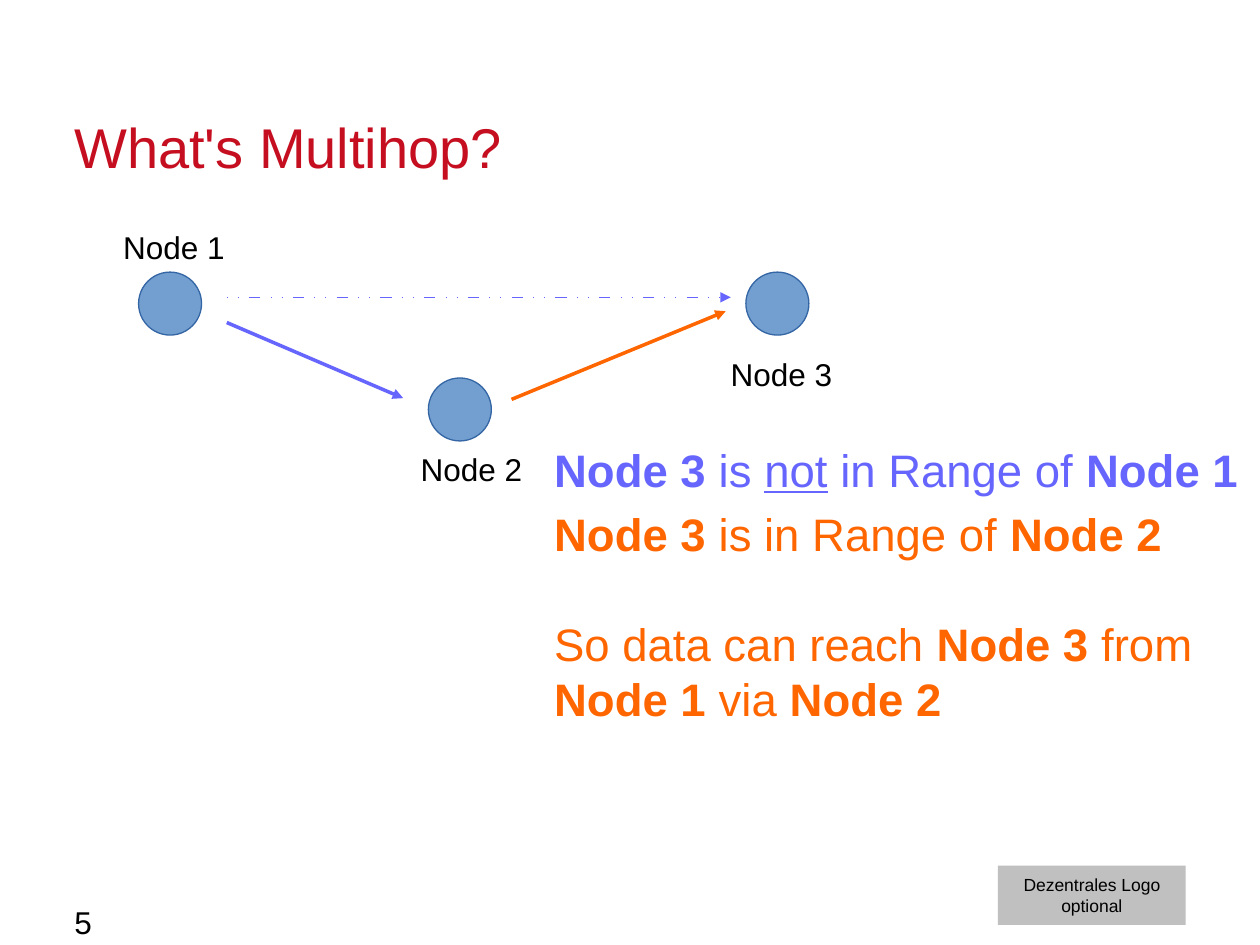
from collections import namedtuple

from lxml.etree import SubElement
from pptx import Presentation
from pptx.dml.color import RGBColor
from pptx.enum.shapes import MSO_CONNECTOR, MSO_SHAPE
from pptx.enum.text import MSO_ANCHOR, PP_ALIGN
from pptx.oxml.ns import qn
from pptx.util import Inches, Pt

# Slide grid: 100 columns by 75 rows of square cells
CELL = Inches(0.1)
COLUMNS, ROWS = 100, 75
FONT = "Arial"
COLORS = {
    "title": "C50E1F", "text": "000000", "node": "729FCF", "outline": "3465A4",
    "direct": "6666FF", "relay": "FF6600", "logo": "C0C0C0",
}
Box = namedtuple("Box", "left top width height")


def color(name):
    return RGBColor.from_string(COLORS[name])


def cells(*counts):
    return [round(count * CELL) for count in counts]


def inside(box, left, top, width, height):
    return Box(box.left + left, box.top + top, width, height)


def set_font(paragraph, size, color_name):
    paragraph.font.name = FONT
    paragraph.font.size = Pt(size)
    paragraph.font.color.rgb = color(color_name)


def add_text(slide, box, size, color_name, lines, inset=True):
    """Each line is a string or a list of (text, style) runs."""
    frame = slide.shapes.add_textbox(*cells(*box)).text_frame
    frame.word_wrap = True
    if not inset:
        frame.margin_left = frame.margin_right = 0
        frame.margin_top = frame.margin_bottom = 0
    for index, line in enumerate(lines):
        paragraph = frame.add_paragraph() if index else frame.paragraphs[0]
        set_font(paragraph, size, color_name)
        for text, style in [(line, "")] if isinstance(line, str) else line:
            run = paragraph.add_run()
            run.text = text
            if style == "bold":
                run.font.bold = True
            elif style == "underline":
                run.font.underline = True
    return frame


def add_shape(slide, kind, box, fill, outline=None):
    shape = slide.shapes.add_shape(kind, *cells(*box))
    shape.shadow.inherit = False
    shape.fill.solid()
    shape.fill.fore_color.rgb = color(fill)
    if outline:
        shape.line.color.rgb = color(outline)
        shape.line.width = Pt(0)
    else:
        shape.line.fill.background()
    return shape


def add_arrow(slide, box, start, end, color_name, dashed=False):
    points = [box.left + start[0], box.top + start[1], box.left + end[0], box.top + end[1]]
    connector = slide.shapes.add_connector(MSO_CONNECTOR.STRAIGHT, *cells(*points))
    connector.line.color.rgb = color(color_name)
    connector.line.width = Pt(0.25 if dashed else 0)
    properties = connector.element.spPr
    line = properties.find(qn("a:ln"))
    if dashed:
        pattern = SubElement(line, qn("a:custDash"))
        for dash in (2, 2, 25):  # dot, dot, dash, in line widths
            SubElement(pattern, qn("a:ds"), d=str(dash * 100000), sp="2300000")
    SubElement(line, qn("a:tailEnd"), type="triangle")
    SubElement(properties, qn("a:effectLst"))


def add_title(slide, box):
    frame = add_text(slide, box, 32, "title", ["What's Multihop?"], inset=False)
    frame.vertical_anchor = MSO_ANCHOR.BOTTOM
    frame.paragraphs[0].line_spacing = Pt(30)


def add_network(slide, box):
    diameter = 5
    nodes = {  # name: (circle position, label position)
        "Node 1": ((2.2, 4), (0, 0)),
        "Node 2": ((25.2, 12.4), (23.6, 17.6)),
        "Node 3": ((50.4, 4), (48.2, 10.1)),
    }
    for name, (circle, label) in nodes.items():
        add_shape(slide, MSO_SHAPE.OVAL, inside(box, *circle, diameter, diameter), "node", "outline")
        add_text(slide, inside(box, *label, 15, 4), 18, "text", [name])
    add_arrow(slide, box, (9.2, 8), (23.2, 14), "direct")
    add_arrow(slide, box, (31.8, 14.1), (48.8, 7.1), "relay")
    add_arrow(slide, box, (9.2, 6), (49.2, 6), "direct", dashed=True)


def add_explanation(slide, box):
    first, second, third = [(f"Node {number}", "bold") for number in (1, 2, 3)]
    direct = [[third, (" is ", ""), ("not", "underline"), (" in Range of ", ""), first]]
    relay = [
        [third, (" is in Range of ", ""), second],
        [("So data can reach ", ""), third, (" from", "")],
        [first, (" via ", ""), second],
    ]
    split = 5.1
    upper = inside(box, 0, 0, box.width, split)
    lower = inside(box, 0, split, box.width, box.height - split)
    for part, name, lines in ((upper, "direct", direct), (lower, "relay", relay)):
        frame = add_text(slide, part, 26, name, lines)
        for paragraph in frame.paragraphs:
            paragraph.line_spacing = Pt(31)
    frame.paragraphs[1].space_before = Pt(32)


def add_footer(slide, box):
    add_text(slide, inside(box, 0, 3, 72.4, 1.7), 18, "text", ["5"], inset=False)
    width = 14.9
    logo = add_shape(slide, MSO_SHAPE.RECTANGLE,
                     inside(box, box.width - width, 0, width, box.height), "logo")
    frame = logo.text_frame
    frame.vertical_anchor = MSO_ANCHOR.MIDDLE
    frame.text = "Dezentrales Logo\noptional"
    for paragraph in frame.paragraphs:
        paragraph.alignment = PP_ALIGN.CENTER
        set_font(paragraph, 10, "text")


def main():
    presentation = Presentation()
    presentation.slide_width, presentation.slide_height = cells(COLUMNS, ROWS)
    slide = presentation.slides.add_slide(presentation.slide_layouts[6])
    margin = 5.9
    content_width = COLUMNS - 2 * margin
    add_title(slide, Box(margin, 8, content_width, 6.3))
    add_network(slide, Box(8.8, 17.6, 63.2, 21.6))
    add_explanation(slide, Box(43, 34.6, 57, 23.4))
    add_footer(slide, Box(margin, 68.7, content_width, 4.7))
    presentation.save("out.pptx")


if __name__ == "__main__":
    main()
